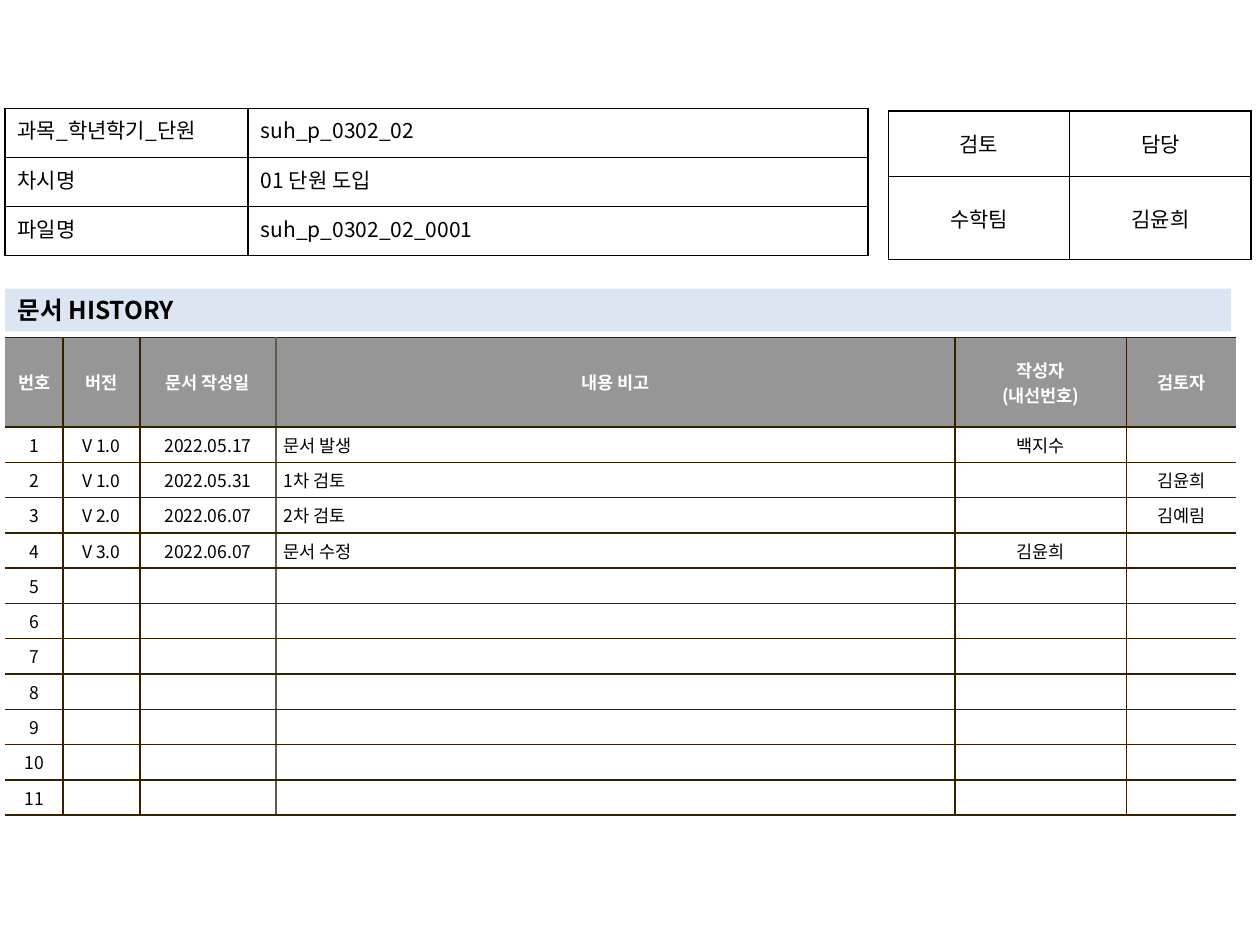
"""Build the document history slide of a lesson storyboard."""
from lxml import etree
from pptx import Presentation, util as u
from pptx.dml.color import RGBColor
from pptx.enum import text
from pptx.oxml import ns

FONT = "Noto Sans CJK KR"
BLACK, WHITE, BROWN, TAUPE = "000000", "FFFFFF", "362000", "645B4C"
LEFT, CENTER, JUSTIFY = text.PP_ALIGN.LEFT, text.PP_ALIGN.CENTER, text.PP_ALIGN.JUSTIFY
TOP, MIDDLE = text.MSO_ANCHOR.TOP, text.MSO_ANCHOR.MIDDLE
NO_STYLE = "{2D5ABB26-0587-4C30-8999-92F81FD0307C}"


def write(frame, words, size, color, bold, align):
    for index, line in enumerate(words.split("\n")):
        paragraph = frame.paragraphs[0] if index == 0 else frame.add_paragraph()
        paragraph.alignment = align
        if not line:
            etree.SubElement(paragraph._p, ns.qn("a:endParaRPr"), sz=str(size * 100))
            continue
        run = paragraph.add_run()
        run.text = line
        run.font.size, run.font.bold, run.font.name = u.Pt(size), bold, FONT
        run.font.color.rgb = RGBColor.from_string(color)
        etree.SubElement(run._r.get_or_add_rPr(), ns.qn("a:ea"), typeface=FONT)


def draw_borders(cell, colors):
    properties = cell._tc.get_or_add_tcPr()
    for side, color in zip("LRTB", colors):
        line = etree.SubElement(properties, ns.qn(f"a:ln{side}"), w=str(u.Pt(1)))
        if color:
            solid = etree.SubElement(line, ns.qn("a:solidFill"))
            etree.SubElement(solid, ns.qn("a:srgbClr"), val=color)
        else:
            etree.SubElement(line, ns.qn("a:noFill"))


deck = Presentation()
deck.slide_width, deck.slide_height = u.Inches(10), u.Inches(7.5)
slide = deck.slides.add_slide(deck.slide_layouts[5])

heading = slide.shapes.title
heading.left, heading.top = u.Inches(0.04), u.Inches(2.29)
heading.width, heading.height = u.Inches(9.73), u.Inches(0.34)
heading.fill.solid()
heading.fill.fore_color.rgb = RGBColor.from_string("DCE6F2")
heading.text_frame.auto_size = text.MSO_AUTO_SIZE.NONE
heading.text_frame.vertical_anchor = MIDDLE
write(heading.text_frame, "문서 HISTORY", 14, BLACK, True, LEFT)

entries = [
    ["V 1.0", "2022.05.17", "문서 발생", "백지수", ""],
    ["V 1.0", "2022.05.31", "1차 검토", "", "김윤희"],
    ["V 2.0", "2022.06.07", "2차 검토", "", "김예림"],
    ["V 3.0", "2022.06.07", "문서 수정", "김윤희", ""],
] + [[""] * 5] * 7
history = [["번호", "버전", "문서 작성일", "내용 비고", "작성자\n(내선번호)", "검토자"]]
history += [[str(number)] + entry for number, entry in enumerate(entries, 1)]
lesson = [
    ["과목_학년학기_단원", "suh_p_0302_02"],
    ["차시명", "01 단원 도입"],
    ["파일명", "suh_p_0302_02_0001"],
]
approval = [["검토", "담당"], ["수학팀", "김윤희"]]

history_rules = [None, BROWN, BROWN, TAUPE, BROWN, BROWN, None]
tables = [
    (history, 0.04, 2.68, [0.46, 0.61, 1.08, 5.39, 1.36, 0.87], [0.71] + [0.25] * 11,
     10, MIDDLE, [CENTER] * 3 + [LEFT] + [CENTER] * 2, (0.06, 0.04), BROWN, history_rules),
    (approval, 7.05, 0.88, [1.44] * 2, [0.52, 0.66],
     12, MIDDLE, [CENTER] * 2, (0.1, 0.05), BLACK, [BLACK] * 3),
    (lesson, 0.04, 0.86, [1.93, 4.92], [0.39] * 3,
     12, TOP, [JUSTIFY, LEFT], (0.1, 0.05), BLACK, [BLACK] * 3),
]

for content, left, top, widths, heights, size, anchor, aligns, inset, rule, uprights in tables:
    frame = slide.shapes.add_table(
        len(heights), len(widths), u.Inches(left), u.Inches(top),
        u.Inches(sum(widths)), u.Inches(sum(heights)))
    grid = frame.table
    grid.first_row = grid.horz_banding = False
    grid._tbl.tblPr.find(ns.qn("a:tableStyleId")).text = NO_STYLE
    for column, width in zip(grid.columns, widths):
        column.width = u.Inches(width)
    for row, height in zip(grid.rows, heights):
        row.height = u.Inches(height)
    for r, words_in_row in enumerate(content):
        header = content is history and r == 0
        for c, words in enumerate(words_in_row):
            cell = grid.cell(r, c)
            cell.vertical_anchor = anchor
            cell.margin_left = cell.margin_right = u.Inches(inset[0])
            cell.margin_top = cell.margin_bottom = u.Inches(inset[1])
            draw_borders(cell, [uprights[c], uprights[c + 1], rule, rule])
            if content is history:
                cell.fill.solid()
                cell.fill.fore_color.rgb = RGBColor.from_string("969696" if header else WHITE)
            else:
                cell.fill.background()
            write(cell.text_frame, words, size, WHITE if header else BLACK, header,
                  CENTER if header else aligns[c])

deck.save("out.pptx")
